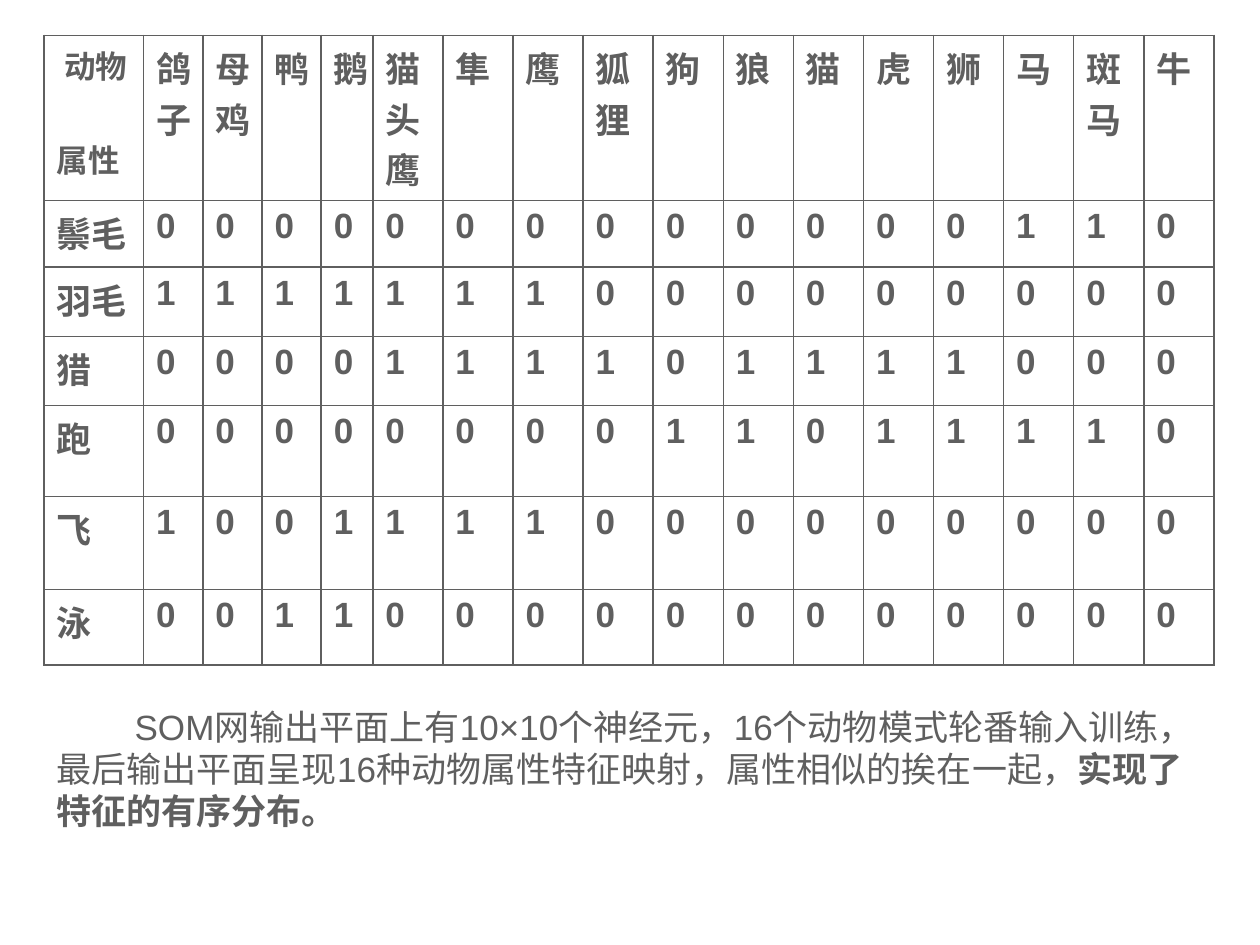
from dataclasses import dataclass

from lxml import etree
from pptx import Presentation
from pptx.dml.color import RGBColor
from pptx.enum.text import MSO_ANCHOR
from pptx.oxml.ns import qn
from pptx.util import Inches, Pt

TOP = MSO_ANCHOR.TOP
BLANK_LAYOUT = 6
SLIDE_WIDTH, SLIDE_HEIGHT = 10, 7.5


@dataclass(frozen=True)
class Theme:
    font: str = "Arial"
    ink: str = "5F5F5F"
    body_size: int = 20
    corner_size: int = 18
    border_width: int = 1


class SlideBuilder:
    """Holds the theme and the current slide; places are shares of the slide."""

    def __init__(self, presentation, theme):
        self.theme = theme
        self.slide = presentation.slides.add_slide(
            presentation.slide_layouts[BLANK_LAYOUT])

    def box(self, left, top, width, height):
        return (Inches(left * SLIDE_WIDTH), Inches(top * SLIDE_HEIGHT),
                Inches(width * SLIDE_WIDTH), Inches(height * SLIDE_HEIGHT))

    def run(self, paragraph, text, size, bold=False):
        run = paragraph.add_run()
        run.text = text
        run.font.name = self.theme.font
        run.font.size = Pt(size)
        run.font.bold = bold
        run.font.color.rgb = RGBColor.from_string(self.theme.ink)

    def indent(self, paragraph, inches):
        paragraph._p.get_or_add_pPr().set("indent", str(Inches(inches)))

    def borders(self, cell):
        properties = cell._tc.get_or_add_tcPr()
        for position, side in enumerate(("a:lnL", "a:lnR", "a:lnT", "a:lnB")):
            line = etree.Element(qn(side), w=str(Pt(self.theme.border_width)))
            fill = etree.SubElement(line, qn("a:solidFill"))
            etree.SubElement(fill, qn("a:srgbClr"), val=self.theme.ink)
            properties.insert(position, line)

    def table(self, place, column_shares, row_shares, rows):
        table = self.slide.shapes.add_table(
            len(rows), len(rows[0]), *self.box(*place)).table
        table.first_row = table.horz_banding = False
        for column, share in zip(table.columns, column_shares):
            column.width = Inches(share * SLIDE_WIDTH)
        for row, share in zip(table.rows, row_shares):
            row.height = Inches(share * SLIDE_HEIGHT)
        for row_index, values in enumerate(rows):
            for column_index, value in enumerate(values):
                cell = table.cell(row_index, column_index)
                cell.vertical_anchor = TOP
                cell.fill.background()
                self.borders(cell)
                if value:
                    self.run(cell.text_frame.paragraphs[0], value,
                             self.theme.body_size, bold=True)
        return table

    def corner(self, cell, column_title, row_title):
        upper = cell.text_frame.paragraphs[0]
        self.indent(upper, 0.06)
        lower = cell.text_frame.add_paragraph()
        lower.space_before = Pt(28)
        for paragraph, text in ((upper, column_title), (lower, row_title)):
            self.run(paragraph, text, self.theme.corner_size, bold=True)

    def text(self, place, parts, first_line, line_spacing):
        frame = self.slide.shapes.add_textbox(*self.box(*place)).text_frame
        frame.word_wrap = True
        paragraph = frame.paragraphs[0]
        paragraph.line_spacing = line_spacing
        self.indent(paragraph, first_line)
        for text, bold in parts:
            self.run(paragraph, text, self.theme.body_size, bold)


ANIMALS = ("鸽子 母鸡 鸭 鹅 猫头鹰 隼 鹰 狐狸 "
           "狗 狼 猫 虎 狮 马 斑马 牛").split()
ATTRIBUTES = {
    "鬃毛": "0000000000000110",
    "羽毛": "1111111000000000",
    "猎": "0000111101111000",
    "跑": "0000000011011110",
    "飞": "1001111000000000",
    "泳": "0011000000000000",
}
LEFT, WIDTH = 0.035, 0.929
NARROW_COLUMNS = [0.079, 0.047, 0.047, 0.047, 0.041]
ROW_HEIGHTS = [0.87, 0.53, 0.55, 0.55, 0.72, 0.74, 0.6]


def main():
    presentation = Presentation()
    presentation.slide_width = Inches(SLIDE_WIDTH)
    presentation.slide_height = Inches(SLIDE_HEIGHT)
    builder = SlideBuilder(presentation, Theme())

    # Animal attribute table: the later columns share the remaining width
    wide_count = len(ANIMALS) + 1 - len(NARROW_COLUMNS)
    wide_column = (WIDTH - sum(NARROW_COLUMNS)) / wide_count
    rows = [["", *ANIMALS]]
    rows += [[name, *flags] for name, flags in ATTRIBUTES.items()]
    table = builder.table(
        (LEFT, 0.28 / SLIDE_HEIGHT, WIDTH, sum(ROW_HEIGHTS) / SLIDE_HEIGHT),
        NARROW_COLUMNS + [wide_column] * wide_count,
        [height / SLIDE_HEIGHT for height in ROW_HEIGHTS], rows)
    builder.corner(table.cell(0, 0), "动物", "属性")

    # Explanation under the table
    builder.text(
        (LEFT, 0.74, WIDTH, 0.148),
        [("SOM网输出平面上有10×10个神经元，16个动物模式轮番输入训练，"
          "最后输出平面呈现16种动物属性特征映射，属性相似的挨在一起，", False),
         ("实现了特征的有序分布。", True)],
        first_line=0.62, line_spacing=Pt(24))

    presentation.save("out.pptx")


if __name__ == "__main__":
    main()
